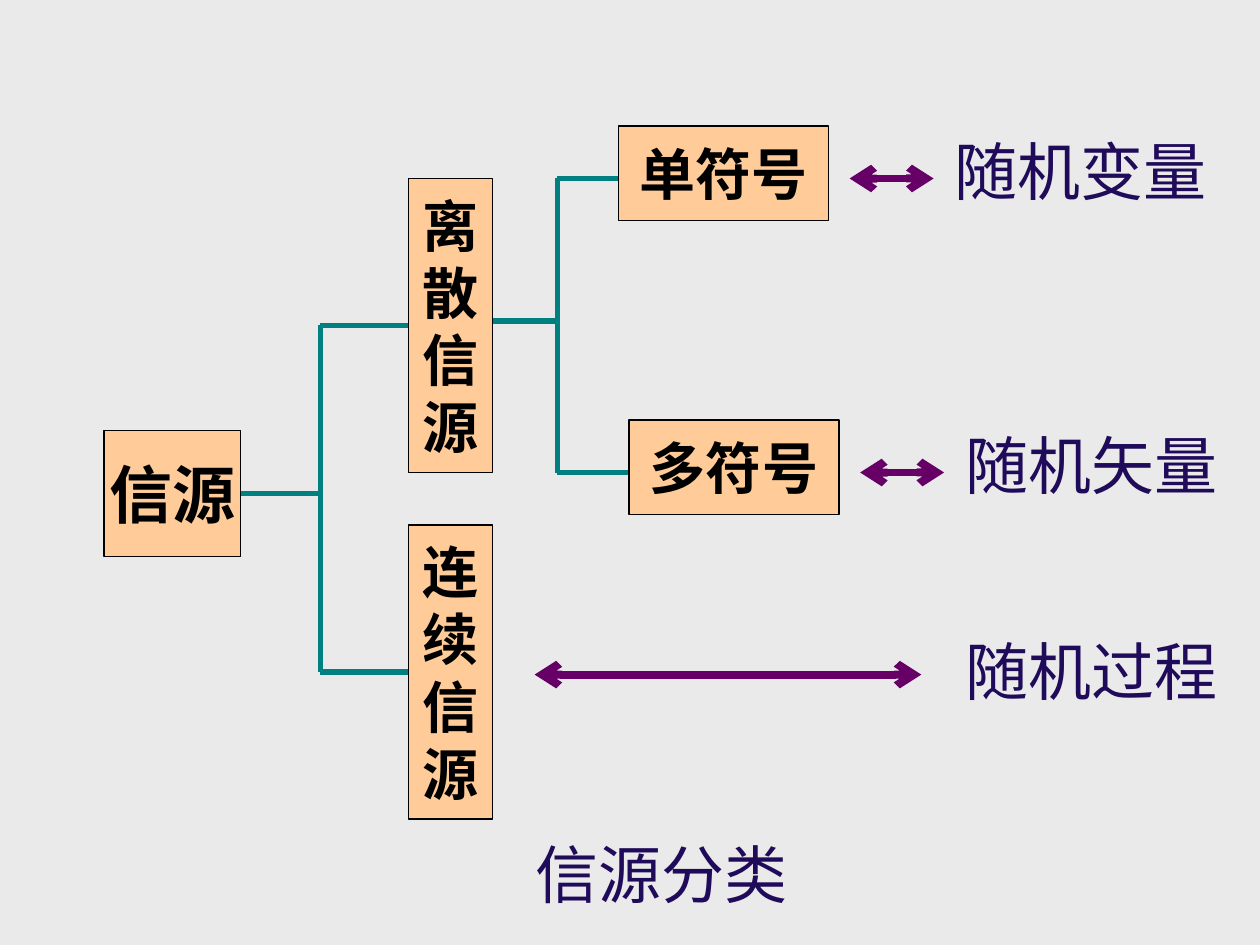
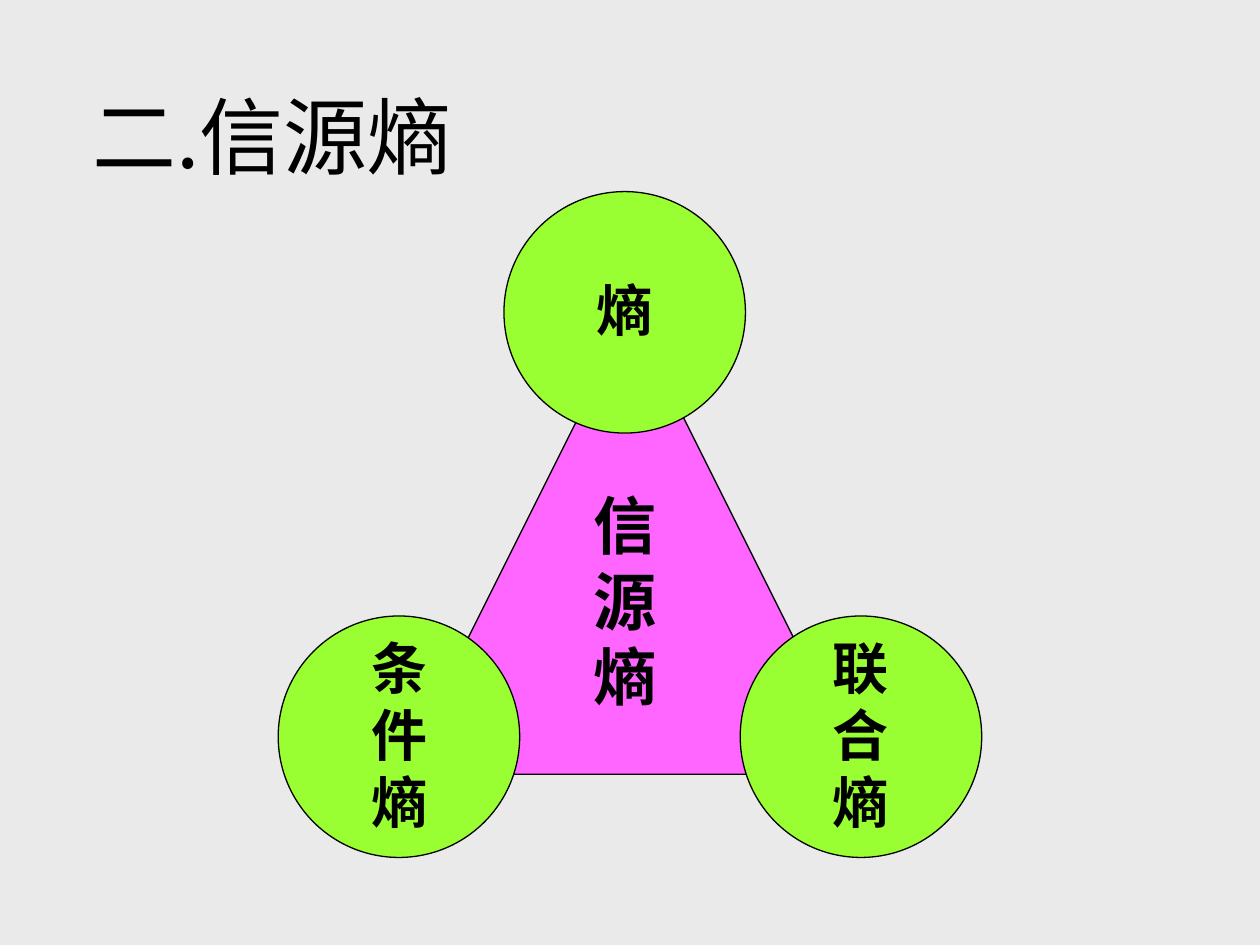
from dataclasses import dataclass

from lxml.etree import SubElement
from pptx import Presentation
from pptx.dml.color import RGBColor
from pptx.enum.shapes import MSO_CONNECTOR as Conn, MSO_SHAPE as Shp
from pptx.enum.text import MSO_ANCHOR as Anchor, MSO_AUTO_SIZE as Auto, PP_ALIGN as Align
from pptx.oxml import parse_xml
from pptx.oxml.ns import nsdecls, qn
from pptx.util import Pt

COLORS = {
    "background": "EAEAEA",
    "box": "FFCC99",
    "branch": "008080",
    "arrow": "660066",
    "label": "200B5B",
    "triangle": "FF66FF",
    "circle": "99FF33",
    "ink": "000000",
}
CJK_FONT = "Noto Sans CJK SC"
BODY = {"name": "Arial", "size": Pt(36), "bold": False}
BOLD = BODY | {"bold": True}
BOLD_SMALL = BOLD | {"size": Pt(32)}
TITLE = {"name": CJK_FONT, "size": Pt(48), "bold": False}
FRAME = {"margin_left": Pt(7.2), "margin_right": Pt(7.2),
         "margin_top": Pt(3.6), "margin_bottom": Pt(3.6)}
BOXED = FRAME | {"word_wrap": False, "vertical_anchor": Anchor.MIDDLE}
FLOWING = FRAME | {"word_wrap": True, "vertical_anchor": Anchor.TOP,
                   "auto_size": Auto.SHAPE_TO_FIT_TEXT}


@dataclass(frozen=True)
class Area:
    x: float
    y: float
    w: float
    h: float

    def lengths(self) -> tuple:
        return Pt(self.x), Pt(self.y), Pt(self.w), Pt(self.h)


@dataclass(frozen=True)
class Text:
    lines: tuple
    area: Area
    font: dict
    color: str = "ink"


@dataclass(frozen=True)
class Bracket:
    start: float
    stem_y: float
    spine: float
    top: float
    bottom: float
    end: float


@dataclass(frozen=True)
class Arrow:
    start: float
    end: float
    y: float


COLUMN = {"x": 233.3, "w": 48.2, "h": 168}
SYMBOL = {"w": 120, "h": 54}
LABEL = {"w": 168, "h": 50.4}
SOURCE_BOXES = (
    Text(("信源",), Area(59.5, 246, 78, 72), BOLD),
    Text(tuple("离散信源"), Area(y=102, **COLUMN), BOLD_SMALL),
    Text(tuple("连续信源"), Area(y=300, **COLUMN), BOLD_SMALL),
    Text(("单符号",), Area(353.5, 72, **SYMBOL), BOLD_SMALL),
    Text(("多符号",), Area(359.5, 240, **SYMBOL), BOLD_SMALL),
)
BRACKETS = (
    Bracket(137.5, 282, 183, 186, 384, 233.3),
    Bracket(281.5, 183.5, 318.5, 102, 270, 359.5),
)
ARROWS = (Arrow(485.5, 533.5, 102), Arrow(491.5, 539.5, 270), Arrow(305.5, 526.5, 385.5))
LABELS = (
    Text(("随机变量",), Area(533.5, 72, **LABEL), BODY, "label"),
    Text(("随机矢量",), Area(539.5, 240, **LABEL), BODY, "label"),
    Text(("随机过程",), Area(539.5, 358, **LABEL), BODY, "label"),
    Text(("信源分类",), Area(210, 474, 336, 50.4), BODY, "label"),
)
DIAMETER = 138
CIRCLES = (
    (Area(288, 109.5, DIAMETER, DIAMETER),
     Text(("熵",), Area(324, 154, 66, 46), BOLD_SMALL)),
    (Area(159, 352, DIAMETER, DIAMETER),
     Text(("条件熵",), Area(198, 358.5, 60, 122.5), BOLD_SMALL)),
    (Area(423, 352, DIAMETER, DIAMETER),
     Text(("联合熵",), Area(467, 358.5, 49, 122.5), BOLD_SMALL)),
)
TRIANGLE = Area(228.5, 178.5, 264, 264)
TRIANGLE_TEXT = Text(("信源熵",), Area(324, 274.5, 66, 136.8), BOLD)
HEADING = Text(("二.信源熵",), Area(34.5, 44.5, 242, 64.8), TITLE)


def rgb(name: str) -> RGBColor:
    return RGBColor.from_string(COLORS[name])


def apply(target, values: dict) -> None:
    for key, value in values.items():
        setattr(target, key, value)


def add_slide(prs):
    s = prs.slides.add_slide(prs.slide_layouts[6])
    s.background.fill.solid()
    s.background.fill.fore_color.rgb = rgb("background")
    return s


def write(sp, text: Text, frame: dict) -> None:
    tf = sp.text_frame
    apply(tf, frame)
    for i, line in enumerate(text.lines):
        p = tf.add_paragraph() if i else tf.paragraphs[0]
        p.alignment = Align.CENTER
        r = p.add_run()
        r.text = line
        apply(r.font, text.font)
        r.font.color.rgb = rgb(text.color)
        latin = r.font._element.find(qn("a:latin"))
        latin.addnext(latin.makeelement(qn("a:ea"), {"typeface": CJK_FONT}))


def add_figure(s, kind: Shp, area: Area, fill: str):
    sp = s.shapes.add_shape(kind, *area.lengths())
    sp.shadow.inherit = False
    sp.fill.solid()
    sp.fill.fore_color.rgb = rgb(fill)
    sp.line.color.rgb = rgb("ink")
    sp.line.width = Pt(0.75)
    return sp


def add_text(s, text: Text):
    sp = s.shapes.add_textbox(*text.area.lengths())
    write(sp, text, FLOWING)
    return sp


def add_line(s, x1: float, y1: float, x2: float, y2: float, color: str, width: float):
    c = s.shapes.add_connector(Conn.STRAIGHT, Pt(x1), Pt(y1), Pt(x2), Pt(y2))
    c.line.color.rgb = rgb(color)
    c.line.width = Pt(width)
    SubElement(c._element.spPr, qn("a:effectLst"))
    return c


def add_bracket(s, b: Bracket) -> None:
    for ends in ((b.start, b.stem_y, b.spine, b.stem_y),
                 (b.spine, b.top, b.spine, b.bottom),
                 (b.spine, b.bottom, b.end, b.bottom),
                 (b.spine, b.top, b.end, b.top)):
        add_line(s, *ends, "branch", 3)


def add_arrow(s, a: Arrow) -> None:
    c = add_line(s, a.start, a.y, a.end, a.y, "arrow", 4.5)
    for end in ("a:headEnd", "a:tailEnd"):
        SubElement(c.line._get_or_add_ln(), qn(end), type="arrow")


def add_text_shadow(sp) -> None:
    for r in sp.text_frame.paragraphs[0].runs:
        r.font._element.find(qn("a:solidFill")).addnext(parse_xml(
            f'<a:effectLst {nsdecls("a")}><a:outerShdw blurRad="38100" dist="38100" '
            'dir="2700000"><a:srgbClr val="C0C0C0"/></a:outerShdw></a:effectLst>'))


def build_classification(prs) -> None:
    s = add_slide(prs)
    for bracket in BRACKETS:
        add_bracket(s, bracket)
    for box in SOURCE_BOXES:
        write(add_figure(s, Shp.RECTANGLE, box.area, "box"), box, BOXED)
    for arrow in ARROWS:
        add_arrow(s, arrow)
    for label in LABELS:
        add_text(s, label)


def build_entropy(prs) -> None:
    s = add_slide(prs)
    add_figure(s, Shp.ISOSCELES_TRIANGLE, TRIANGLE, "triangle")
    add_text(s, TRIANGLE_TEXT)
    for area, text in CIRCLES:
        add_figure(s, Shp.OVAL, area, "circle")
        add_text(s, text)
    add_text_shadow(add_text(s, HEADING))


def main() -> None:
    prs = Presentation()
    prs.slide_width, prs.slide_height = Pt(720), Pt(540)
    build_classification(prs)
    build_entropy(prs)
    prs.save("out.pptx")


if __name__ == "__main__":
    main()
